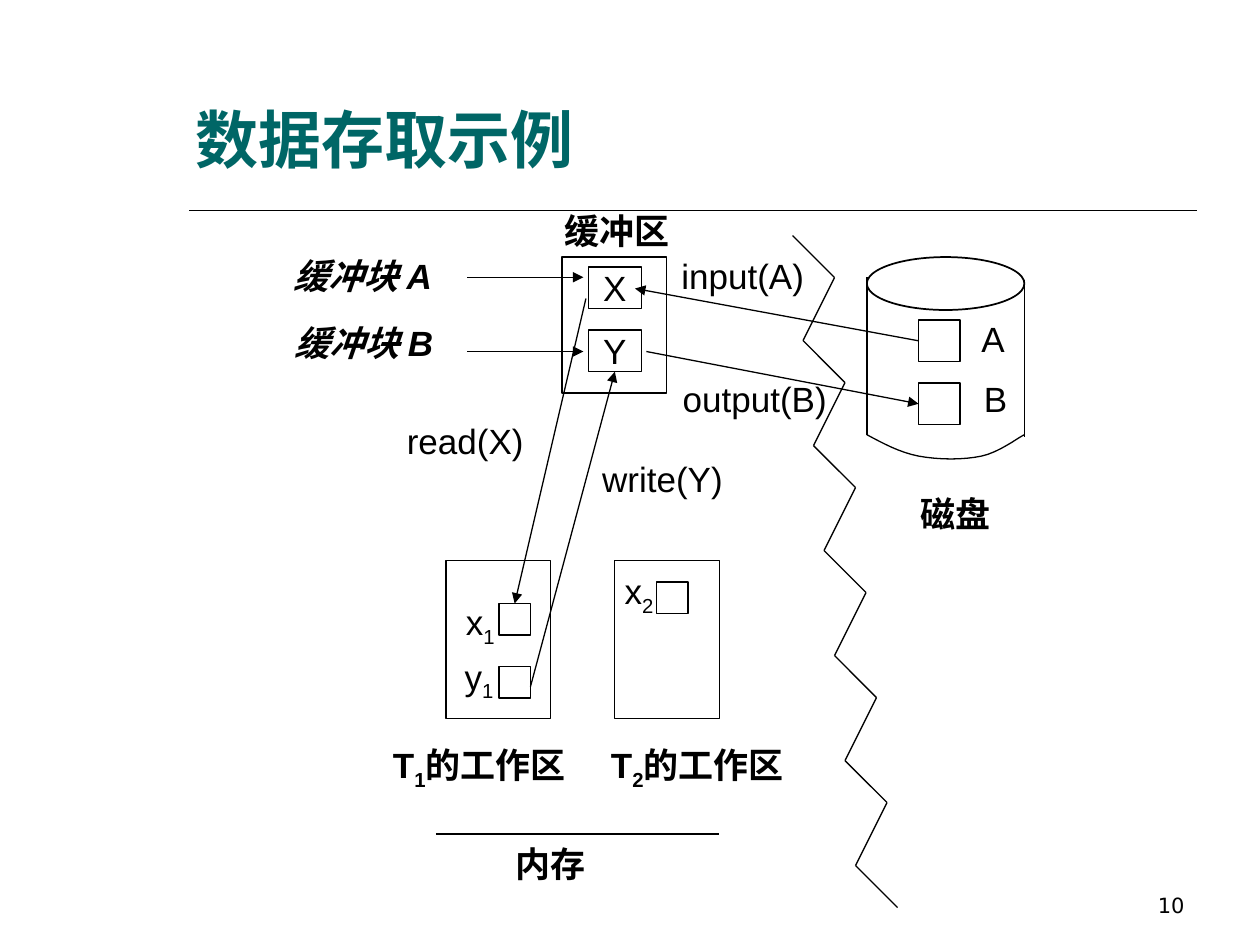
from itertools import pairwise

from lxml import etree
from pptx import Presentation
from pptx.dml.color import RGBColor
from pptx.enum.shapes import MSO_CONNECTOR, MSO_SHAPE
from pptx.enum.text import MSO_ANCHOR, MSO_AUTO_SIZE, PP_ALIGN
from pptx.oxml.ns import qn
from pptx.util import Inches, Pt

BLACK = RGBColor(0x00, 0x00, 0x00)
TEAL = RGBColor(0x00, 0x66, 0x66)
RECT, OVAL = MSO_SHAPE.RECTANGLE, MSO_SHAPE.OVAL
STRAIGHT = MSO_CONNECTOR.STRAIGHT
LEFT, CENTER, RIGHT = PP_ALIGN.LEFT, PP_ALIGN.CENTER, PP_ALIGN.RIGHT
TOP, MIDDLE, BOTTOM = MSO_ANCHOR.TOP, MSO_ANCHOR.MIDDLE, MSO_ANCHOR.BOTTOM
GROW, FIXED = MSO_AUTO_SIZE.SHAPE_TO_FIT_TEXT, MSO_AUTO_SIZE.NONE
TOP_SIDE, LEFT_SIDE, LOW_SIDE = 0, 1, 2


def write(frame, text, size=20, font="Arial", color=BLACK, bold=False,
          italic=False, align=LEFT, anchor=TOP, wrap=False, fit=FIXED):
    """Fill a text frame; parts between underscores become subscripts."""
    frame.word_wrap = wrap
    frame.auto_size = fit
    frame.vertical_anchor = anchor
    line = frame.paragraphs[0]
    line.alignment = align
    for i, part in enumerate(text.split("_")):
        run = line.add_run()
        run.text = part
        run.font.size = Pt(size)
        run.font.name = font
        run.font.bold = bold
        run.font.italic = italic
        run.font.color.rgb = color
        if i % 2:
            run.font._element.set("baseline", "-25000")


class Sketch:
    def __init__(self, slide, color=BLACK, width=0.75):
        self.slide = slide
        self.color = color
        self.width = width

    def style(self, shape, width=None):
        shape.line.color.rgb = self.color
        shape.line.width = Pt(width or self.width)

    def box(self, x, y, w, h, text="", kind=RECT, width=None):
        shape = self.slide.shapes.add_shape(
            kind, Inches(x), Inches(y), Inches(w), Inches(h))
        shape.shadow.inherit = False
        shape.fill.background()
        self.style(shape, width)
        if text:
            write(shape.text_frame, text, align=CENTER, anchor=MIDDLE)
        return shape

    def label(self, x, y, w, h, text, **form):
        frame = self.slide.shapes.add_textbox(
            Inches(x), Inches(y), Inches(w), Inches(h)).text_frame
        write(frame, text, **form)

    def line(self, start, end, width=None, arrow=False, source=None, target=None):
        """Draw a line; source and target are (shape, side) pairs to join."""
        link = self.slide.shapes.add_connector(
            STRAIGHT, *(Inches(v) for v in (*start, *end)))
        self.style(link, width)
        if arrow:
            etree.SubElement(link.line._get_or_add_ln(), qn("a:tailEnd"),
                             type="triangle")
        etree.SubElement(link._element.spPr, qn("a:effectLst"))
        if source:
            link.begin_connect(*source)
        if target:
            link.end_connect(*target)

    def curve(self, start, *arcs, steps=8):
        """Draw an open chain of cubic arcs, each (control, control, end)."""
        points, first = [], start
        for a, b, last in arcs:
            for i in range(1, steps + 1):
                t = i / steps
                u = 1 - t
                points.append(tuple(
                    Inches(u**3 * p + 3 * u * u * t * q + 3 * u * t * t * r + t**3 * s)
                    for p, q, r, s in zip(first, a, b, last)))
            first = last
        pen = self.slide.shapes.build_freeform(*(Inches(v) for v in start))
        pen.add_line_segments(points, close=False)
        shape = pen.convert_to_shape()
        shape.shadow.inherit = False
        shape.fill.background()
        self.style(shape)


def main():
    deck = Presentation()
    deck.slide_width, deck.slide_height = Inches(10), Inches(7.5)
    art = Sketch(deck.slides.add_slide(deck.slide_layouts[6]))

    # Heading, rule and page number
    art.line((1.5, 1.67), (9.5, 1.67), width=1)
    art.label(7.17, 6.83, 2.33, 0.5, "10", size=12, font="DejaVu Sans",
              align=RIGHT, anchor=BOTTOM, wrap=True)
    art.label(1.45, 0.2, 8, 1.25, "数据存取示例", size=36, color=TEAL,
              bold=True, anchor=BOTTOM, wrap=True)

    # Buffer with its two blocks
    art.box(4.46, 2.04, 0.83, 1.08)
    art.box(4.67, 2.12, 0.42, 0.33, "X")
    y_block = art.box(4.67, 2.62, 0.42, 0.33, "Y")

    # Disk
    art.box(6.88, 2.04, 1.25, 0.42, kind=OVAL, width=1)
    art.line((6.88, 2.2), (6.88, 3.45))
    art.line((8.13, 2.22), (8.13, 3.47))
    art.curve((6.88, 3.45),
              ((7.01, 3.52), (7.14, 3.59), (7.29, 3.62)),
              ((7.45, 3.65), (7.65, 3.65), (7.79, 3.62)),
              ((7.93, 3.59), (8.07, 3.48), (8.13, 3.45)))
    a_block, b_block = [art.box(7.29, y, 0.33, 0.33) for y in (2.54, 3.04)]

    # Work areas and main memory
    for x in (3.54, 4.88):
        art.box(x, 4.45, 0.83, 1.25)
    art.box(5.21, 4.62, 0.25, 0.25)
    x_cell, _ = [art.box(3.96, y, 0.25, 0.25) for y in (4.79, 5.29)]
    art.line((3.46, 6.62), (5.71, 6.62))

    # Data flow
    for y in (2.2, 2.79):
        art.line((3.71, y), (4.63, y), arrow=True)
    art.line((7.29, 2.7), (5.04, 2.29), arrow=True, source=(a_block, LEFT_SIDE))
    art.line((5.13, 2.79), (7.29, 3.2), arrow=True, target=(b_block, LEFT_SIDE))
    art.line((4.65, 2.37), (4.06, 4.79), arrow=True, target=(x_cell, TOP_SIDE))
    art.line((4.21, 5.45), (4.88, 2.95), arrow=True, target=(y_block, LOW_SIDE))

    # Zigzag border between memory and disk
    bends = [(6.29, 1.87)]
    for i in range(13):
        x, y = bends[-1]
        bends.append((x - 0.25, y + 0.5) if i % 2 else (x + 1 / 3, y + 1 / 3))
    for start, end in pairwise(bends):
        art.line(start, end)

    # Plain labels
    for x, y, w, h, text in (
            (7.69, 2.47, 0.38, 0.44, "A"),
            (7.71, 2.95, 0.38, 0.44, "B"),
            (3.6, 4.72, 0.43, 0.48, "x_1"),
            (3.59, 5.15, 0.47, 0.48, "y_1"),
            (4.86, 4.47, 0.43, 0.48, "x_2"),
            (5.31, 1.97, 1.2, 0.44, "input(A)"),
            (5.32, 2.95, 1.42, 0.44, "output(B)"),
            (3.13, 3.28, 1.15, 0.44, "read(X)"),
            (4.68, 3.58, 1.18, 0.44, "write(Y)")):
        art.label(x, y, w, h, text, fit=GROW)

    # Bold labels
    for x, y, w, h, text, form in (
            (4.38, 1.61, 1.06, 0.44, "缓冲区", {}),
            (2.23, 1.97, 1.45, 0.44, "缓冲块 A", {"italic": True}),
            (2.24, 2.5, 1.4, 0.44, "缓冲块 B", {"italic": True}),
            (7.21, 3.86, 0.78, 0.44, "磁盘", {}),
            (3.02, 5.85, 1.69, 0.48, "T_1_的工作区", {"wrap": True}),
            (4.75, 5.85, 1.66, 0.48, "T_2_的工作区", {}),
            (3.99, 6.64, 0.78, 0.44, "内存", {})):
        art.label(x, y, w, h, text, bold=True, fit=GROW, **form)

    deck.save("out.pptx")


if __name__ == "__main__":
    main()
